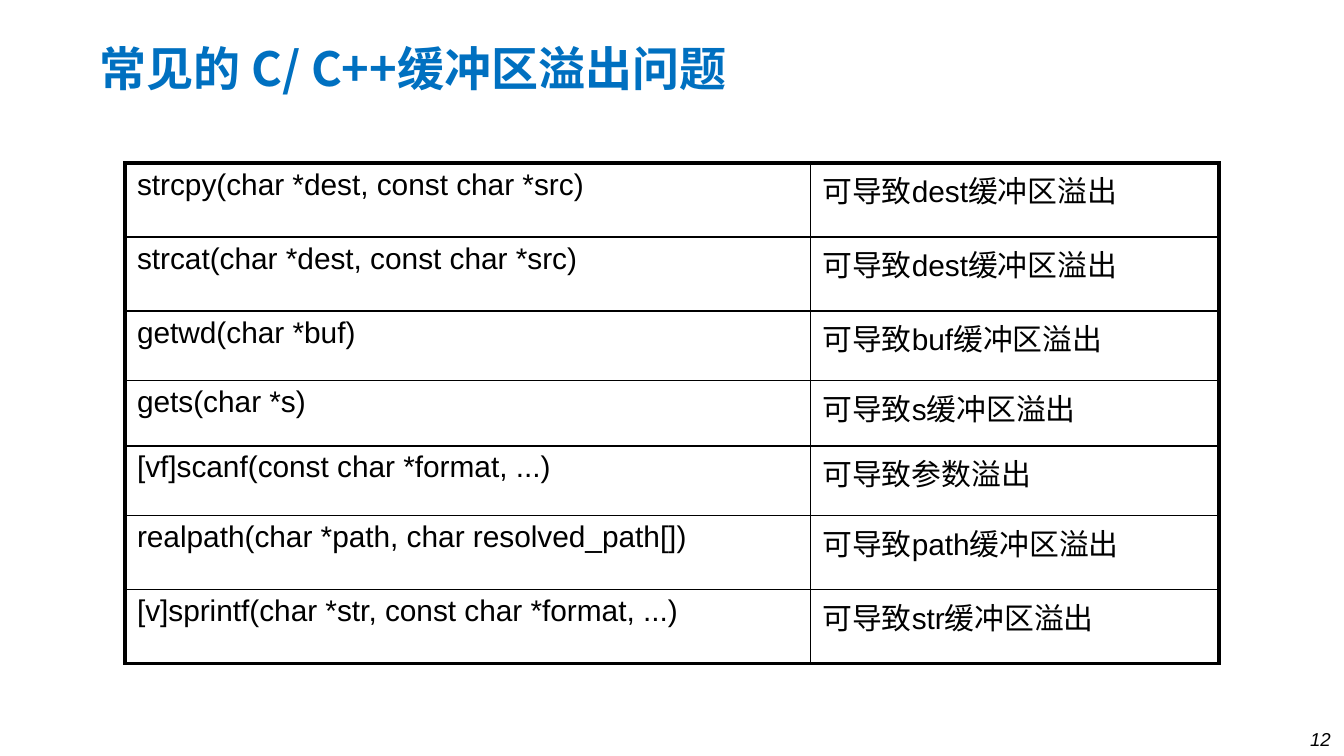
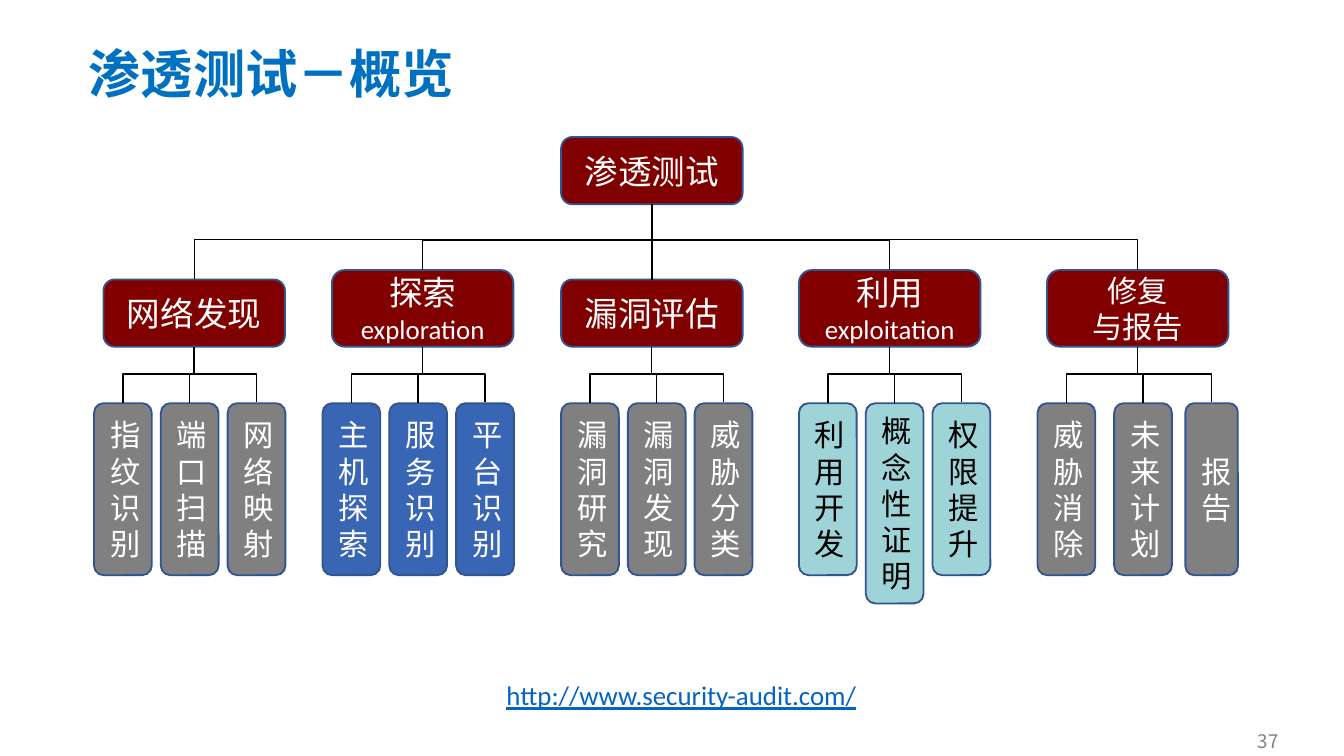
from lxml.etree import SubElement
from pptx import Presentation
from pptx.dml.color import RGBColor
from pptx.enum.shapes import MSO_CONNECTOR, MSO_SHAPE
from pptx.enum.text import MSO_ANCHOR, MSO_AUTO_SIZE, PP_ALIGN
from pptx.oxml.ns import qn
from pptx.util import Inches, Pt

# The slide is a grid of 100 columns by 56.25 rows of square cells.
COLS, ROWS = 100, 56.25
CELL = Inches(10) / COLS

HAN, LATIN, CODE = "Noto Sans CJK SC", "Calibri", "Arial"
BLUE, LINK, EDGE = "0070C0", "0563C1", "325491"
RED, GRAY, NAVY, TEAL = "800000", "808080", "3965B5", "9ED3D7"
BLACK, WHITE = "000000", "FFFFFF"

CALLS = [
    ("strcpy(char *dest, const char *src)", "可导致dest缓冲区溢出", 5.5),
    ("strcat(char *dest, const char *src)", "可导致dest缓冲区溢出", 5.5),
    ("getwd(char *buf)", "可导致buf缓冲区溢出", 5.2),
    ("gets(char *s)", "可导致s缓冲区溢出", 4.84),
    ("[vf]scanf(const char *format, ...)", "可导致参数溢出", 5.2),
    ("realpath(char *path, char resolved_path[])", "可导致path缓冲区溢出", 5.5),
    ("[v]sprintf(char *str, const char *format, ...)", "可导致str缓冲区溢出", 5.5),
]

# Each line of a branch is (text, size, font).
# Branch: left, lines, leaf fill, leaf ink, left of first leaf, leaves
BRANCHES = [
    (0.7, [("网络发现", 18, HAN)], GRAY, WHITE, 0,
     ["指纹识别", "端口扫描", "网络映射"]),
    (17.7, [("探索", 18, HAN), ("exploration", 14.4, LATIN)], NAVY, WHITE, 17,
     ["主机探索", "服务识别", "平台识别"]),
    (34.75, [("漏洞评估", 18, HAN)], GRAY, WHITE, 34.75,
     ["漏洞研究", "漏洞发现", "威胁分类"]),
    (52.45, [("利用", 18, HAN), ("exploitation", 14.4, LATIN)], TEAL, BLACK, 52.45,
     ["利用开发", "概念性证明", "权限提升"]),
    (70.9, [("修复", 16.2, LATIN), ("与报告", 16.2, LATIN)], GRAY, WHITE, 70.2,
     ["威胁消除", "未来计划", "报告"]),
]


def grid(*cells):
    return [round(n * CELL) for n in cells]


def hue(code):
    return RGBColor.from_string(code)


def style(para, size, font, ink, align=PP_ALIGN.LEFT, space=None, **marks):
    """Format a paragraph; marks are bold, italic or underline."""
    para.alignment = align
    if space:
        para.line_spacing = space
    face = para.font
    face.size, face.name = Pt(size), font
    face.color.rgb = hue(ink)
    for name, value in marks.items():
        setattr(face, name, value)
    latin = face._rPr.find(qn("a:latin"))
    east = SubElement(face._rPr, qn("a:ea"), typeface=HAN)
    latin.addnext(east)


def head(deck, text, box, size):
    """Add a title-only slide and set its title."""
    slide = deck.slides.add_slide(deck.slide_layouts[5])
    title = slide.shapes.title
    title.left, title.top, title.width, title.height = grid(*box)
    frame = title.text_frame
    frame.text = text
    frame.auto_size = MSO_AUTO_SIZE.NONE
    frame.vertical_anchor = MSO_ANCHOR.MIDDLE
    style(frame.paragraphs[0], size, HAN, BLUE, space=0.9, bold=True)
    return slide


def label(slide, box, text, *look, wrap=True, anchor=MSO_ANCHOR.MIDDLE, **marks):
    frame = slide.shapes.add_textbox(*grid(*box)).text_frame
    frame.text = text
    frame.word_wrap = wrap
    frame.vertical_anchor = anchor
    style(frame.paragraphs[0], *look, **marks)


def border(cell, widths):
    """Rule a cell; widths are in points: left, right, top, bottom."""
    props = cell._tc.get_or_add_tcPr()
    for spot, (side, width) in enumerate(zip("LRTB", widths)):
        line = SubElement(props, qn("a:ln" + side), w=str(Pt(width)))
        fill = SubElement(line, qn("a:solidFill"))
        SubElement(fill, qn("a:srgbClr"), val=BLACK)
        props.insert(spot, line)


def listing(slide, box):
    table = slide.shapes.add_table(len(CALLS), 2, *grid(*box)).table
    table.first_row = table.horz_banding = False
    left, right = grid(51, box[2] - 51)
    table.columns[0].width, table.columns[1].width = left, right
    last = len(CALLS) - 1
    for row, (*texts, height) in enumerate(CALLS):
        table.rows[row].height = grid(height)[0]
        for col, text in enumerate(texts):
            cell = table.cell(row, col)
            cell.text = text
            cell.margin_left = cell.margin_right = Inches(0.09)
            cell.margin_top = cell.margin_bottom = Inches(0.04)
            cell.fill.background()
            style(cell.text_frame.paragraphs[0], 16, CODE, BLACK)
            outer = (col == 0, col == 1, row == 0, row == last)
            border(cell, [2.25 if edge else 1 for edge in outer])


def node(slide, box, lines, fill, ink):
    """Draw a rounded box and return its box."""
    shape = slide.shapes.add_shape(MSO_SHAPE.ROUNDED_RECTANGLE, *grid(*box))
    shape.shadow.inherit = False
    shape.fill.solid()
    shape.fill.fore_color.rgb = hue(fill)
    shape.line.color.rgb = hue(EDGE)
    shape.line.width = Pt(1)
    frame = shape.text_frame
    frame.word_wrap = True
    frame.vertical_anchor = MSO_ANCHOR.MIDDLE
    frame.text = "\n".join(text for text, _, _ in lines)
    for para, (_, size, font) in zip(frame.paragraphs, lines):
        style(para, size, font, ink, PP_ALIGN.CENTER, Pt(round(size * 1.2, 1)))
    return box


def elbow(slide, x1, y1, x2, y2, bend):
    """Join two points by an upright elbow whose crossbar lies at row bend."""
    midx, midy = (x1 + x2) / 2, (y1 + y2) / 2
    wide, tall = (y2 - y1) / 2, (x1 - x2) / 2
    ends = grid(midx - wide, midy - tall, midx + wide, midy + tall)
    wire = slide.shapes.add_connector(MSO_CONNECTOR.ELBOW, *ends)
    wire.line.color.rgb = hue(BLACK)
    wire.line.width = Pt(0.75)
    props = wire._element.spPr
    props.find(qn("a:xfrm")).set("rot", str(90 * 60000))
    share = round((bend - y1) / (y2 - y1) * 100000)
    guides = props.find(qn("a:prstGeom")).find(qn("a:avLst"))
    SubElement(guides, qn("a:gd"), name="adj1", fmla=f"val {share}")
    SubElement(props, qn("a:effectLst"))


def fork(slide, top, kids, bend):
    """Bracket the children in pairs from outside in, and stem the middle one."""
    tips = [(x + w / 2, y) for x, y, w, _ in kids]
    half = len(tips) // 2
    for (x1, y1), (x2, y2) in zip(tips[:half], tips[:half:-1]):
        elbow(slide, x1, y1, x2, y2 - 0.1 if y1 == y2 else y2, bend)
    x, y, w, h = top
    elbow(slide, *tips[half], x + w / 2, y + h, bend)


def tree(slide, box):
    left, top = box[:2]
    wide, foot, leaf = 13.5, top + 15.6, top + 19.8
    nodes = []
    for x, lines, fill, ink, start, names in BRANCHES:
        tall = 5 if len(lines) == 1 else 5.7
        branch = node(slide, (left + x, foot - tall, wide, tall), lines, RED, WHITE)
        nodes.append(branch)
        kids = []
        steps = (0, 5.7, 11) if "报告" in names else (0, 4.97, 9.94)
        for name, step in zip(names, steps):
            size = (3.9 if len(name) < 4 else 4.3, 14.9 if len(name) > 4 else 12.8)
            spot = (left + start + step, leaf, *size)
            kids.append(node(slide, spot, [(name, 16.2, HAN)], fill, ink))
        fork(slide, branch, kids, leaf - 2.2)
    root = node(slide, (left + 34.75, top, wide, 5), [("渗透测试", 18, HAN)], RED, WHITE)
    fork(slide, root, nodes, top + 7.65)


def main():
    deck = Presentation()
    deck.slide_width, deck.slide_height = grid(COLS, ROWS)

    slide = head(deck, "常见的 C/ C++缓冲区溢出问题", (6.4, 3, 62.8, 4.6), 25.2)
    listing(slide, (9.3, 12.13, 81.4, 37.24))
    label(slide, (0, 53.9, COLS, 2.2), "12", 10, CODE, BLACK, PP_ALIGN.RIGHT,
          italic=True)

    slide = head(deck, "渗透测试－概览", (5.6, 3.4, 61, 4.6), 28)
    tree(slide, (7, 10.2, 85.1, 34.7))
    label(slide, (36.7, 50, 28.8, 3.4), "http://www.security-audit.com/",
          14.4, LATIN, LINK, wrap=False, anchor=MSO_ANCHOR.TOP, underline=True)
    label(slide, (6.1, 54, 90, 2.2), "37", 10, HAN, GRAY, PP_ALIGN.RIGHT)

    deck.save("out.pptx")


if __name__ == "__main__":
    main()
